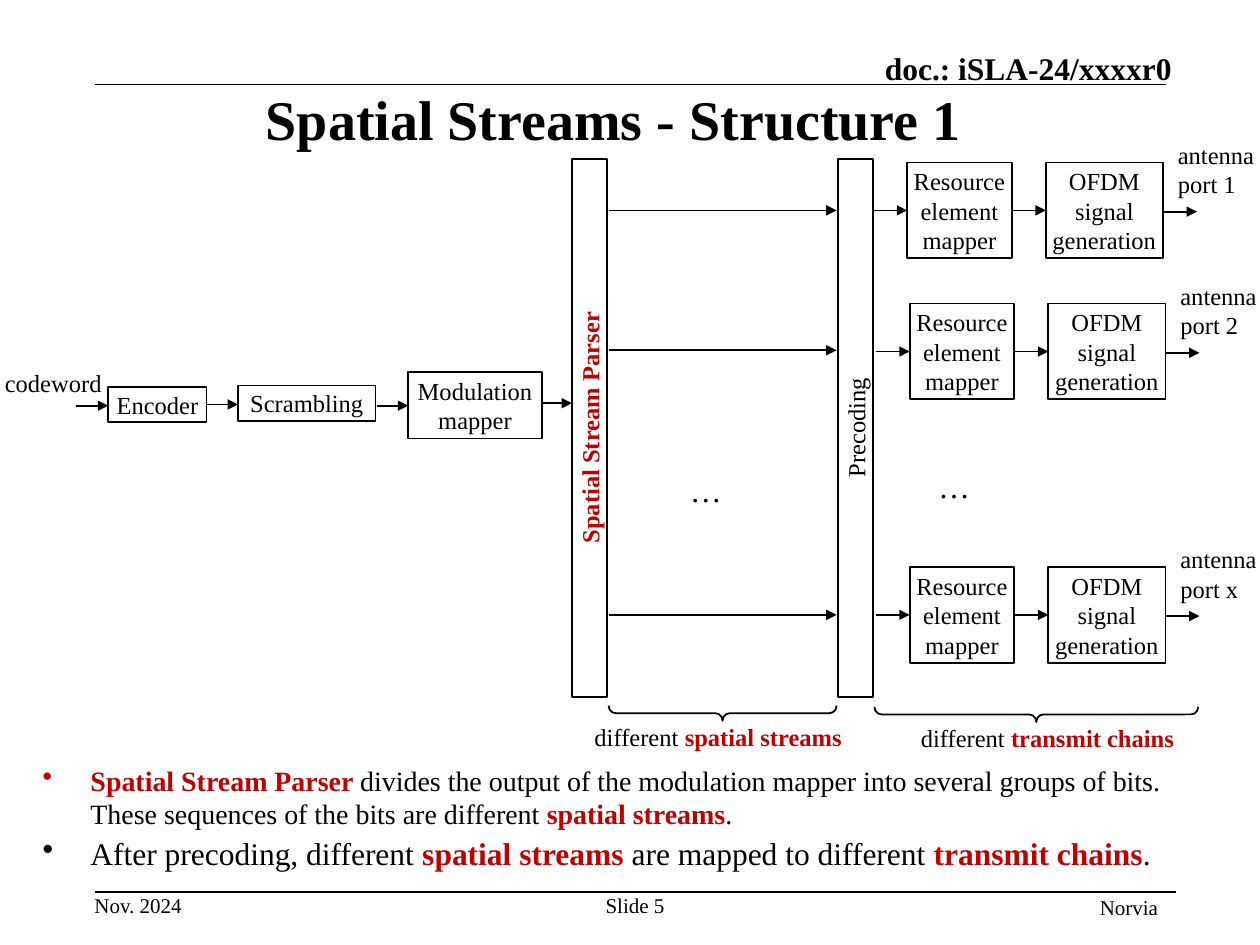
from pptx import Presentation
from pptx.dml.color import RGBColor
from pptx.enum.shapes import MSO_CONNECTOR, MSO_SHAPE
from pptx.enum.text import MSO_ANCHOR, MSO_AUTO_SIZE, PP_ALIGN
from pptx.oxml.ns import qn
from pptx.util import Emu, Pt
from lxml import etree

EMU_PER_PX = 9144  # 100 px to the inch
COLORS = {"ink": "000000", "accent": "C00000"}
FONT = "Times New Roman"


def px(length):
    return Emu(int(length * EMU_PER_PX))


def color(name):
    return RGBColor.from_string(COLORS[name])


class SlideBuilder:
    def __init__(self, slide):
        self.slide = slide

    def fill_text(self, frame, spans, size=14, bold=False, ink="ink",
                  align=PP_ALIGN.LEFT, anchor=MSO_ANCHOR.TOP, insets=(10, 5)):
        """Write one paragraph; spans is a string or (text, accented) pairs."""
        frame.word_wrap = True
        frame.vertical_anchor = anchor
        frame.margin_left = frame.margin_right = px(insets[0])
        frame.margin_top = frame.margin_bottom = px(insets[1])
        para = frame.paragraphs[0]
        para.alignment = align
        para.font.name = FONT
        para.font.size = Pt(size)
        para.font.bold = bold
        para.font.color.rgb = color(ink)
        if isinstance(spans, str):
            spans = [(spans, False)]
        for text, accented in spans:
            span = para.add_run()
            span.text = text
            if accented:
                span.font.bold = True
                span.font.color.rgb = color("accent")
        return para

    def text(self, left, top, width, height, spans, grow=False, **style):
        box = self.slide.shapes.add_textbox(px(left), px(top), px(width), px(height))
        para = self.fill_text(box.text_frame, spans, **style)
        if grow:
            box.text_frame.auto_size = MSO_AUTO_SIZE.SHAPE_TO_FIT_TEXT
        return para

    def bullet(self, left, top, width, height, spans, size):
        para = self.text(left, top, width, height, spans, size=size)
        para.space_before = Pt(6)
        properties = para.font._element.getparent()
        properties.set("marL", str(px(38)))
        properties.set("indent", str(-px(38)))
        mark = etree.Element(qn("a:buChar"), char="•")
        properties.find(qn("a:defRPr")).addprevious(mark)

    def outline(self, preset, left, top, width, height):
        shape = self.slide.shapes.add_shape(preset, px(left), px(top), px(width), px(height))
        shape.shadow.inherit = False
        shape.fill.background()
        shape.line.color.rgb = color("ink")
        shape.line.width = Pt(1)
        return shape

    def block(self, left, top, width, height, label):
        shape = self.outline(MSO_SHAPE.RECTANGLE, left, top, width, height)
        self.fill_text(shape.text_frame, label, align=PP_ALIGN.CENTER,
                       anchor=MSO_ANCHOR.MIDDLE, insets=(5, 0))

    def column(self, left, top, width, height, label, **style):
        shape = self.outline(MSO_SHAPE.RECTANGLE, left, top, width, height)
        self.fill_text(shape.text_frame, label, align=PP_ALIGN.CENTER,
                       anchor=MSO_ANCHOR.MIDDLE, **style)
        shape.text_frame._txBody.bodyPr.set("vert", "vert270")

    def brace_below(self, left, top, length, depth=12):
        shift = (length - depth) / 2
        brace = self.outline(MSO_SHAPE.LEFT_BRACE, left + shift, top - shift, depth, length)
        brace.adjustments[0] = 0.47
        brace.adjustments[1] = 0.5
        brace.rotation = 270

    def line(self, start_x, y, end_x, arrow=False):
        line = self.slide.shapes.add_connector(
            MSO_CONNECTOR.STRAIGHT, px(start_x), px(y), px(end_x), px(y))
        line.line.color.rgb = color("ink")
        line.line.width = Pt(1)
        if arrow:
            etree.SubElement(line.line._get_or_add_ln(), qn("a:tailEnd"), type="triangle")
        etree.SubElement(line._element.spPr, qn("a:effectLst"))

    def arrow(self, start_x, y, end_x):
        self.line(start_x, y, end_x, arrow=True)


def main():
    deck = Presentation()
    deck.slide_width, deck.slide_height = px(1000), px(750)
    page = SlideBuilder(deck.slides.add_slide(deck.slide_layouts[6]))

    # Header, title and footer
    page.line(75, 67, 925)
    page.line(75, 708, 933)
    page.text(547, 39, 383, 30, "doc.: iSLA-24/xxxxr0", size=18, bold=True,
              align=PP_ALIGN.RIGHT, anchor=MSO_ANCHOR.BOTTOM, insets=(0, 0))
    page.text(62, 62, 850, 63, "Spatial Streams - Structure 1", size=32, bold=True,
              align=PP_ALIGN.CENTER, anchor=MSO_ANCHOR.MIDDLE)
    page.text(75, 708, 70, 20, "Nov. 2024", size=12, insets=(0, 0))
    for left, top, label in [(475, 708, "Slide 5"), (867, 710, "Norvia")]:
        page.text(left, top, 58, 40, label, size=12, align=PP_ALIGN.CENTER, insets=(0, 0))

    # Codeword path
    page.text(-6, 287, 113, 34, "codeword", grow=True)
    page.block(86, 307, 78, 28, "Encoder")
    page.block(189, 306, 109, 28, "Scrambling")
    page.block(324, 295, 106, 53, "Modulation mapper")
    for start_x, y, end_x in [(60, 322, 86), (164, 321, 189), (299, 322, 324), (430, 320, 454)]:
        page.arrow(start_x, y, end_x)

    # Parser, precoding and the streams between them
    page.column(454, 126, 28, 427, "Spatial Stream Parser", bold=True, ink="accent")
    page.column(665, 126, 28, 427, "Precoding")
    for y in (167, 278, 488):
        page.arrow(483, y, 664)

    # Transmit chains
    for left, top, port in [(720, 129, "1"), (722, 241, "2"), (722, 450, "x")]:
        middle = top + 38
        page.arrow(left - 27, middle, left)
        page.block(left, top, 83, 76, "Resource element mapper")
        page.arrow(left + 83, middle, left + 110)
        page.block(left + 110, top, 93, 76, "OFDM signal generation")
        page.arrow(left + 203, middle + 1, left + 230)
        page.text(left + 205, top - 23, 84, 57, f"antenna port {port}", grow=True)

    # Ellipses, braces and captions
    for left, top in [(538, 369), (735, 366)]:
        page.text(left, top, 47, 40, "…", size=18, grow=True)
    for left, top, length, caption_left, caption in [
        (483, 560, 181, 462, "spatial streams"),
        (694, 561, 257, 721, "transmit chains"),
    ]:
        page.brace_below(left, top, length)
        page.text(caption_left, top + 8, 246, 34,
                  [("different ", False), (caption, True)], grow=True)

    # Explanations
    page.bullet(24, 601, 960, 53, [
        ("Spatial Stream Parser ", True),
        ("divides the output of the modulation mapper into several groups of bits. "
         "These sequences of the bits are different ", False),
        ("spatial streams", True),
        (".", False),
    ], size=16)
    page.bullet(24, 657, 934, 34, [
        ("After precoding, different ", False),
        ("spatial streams ", True),
        ("are mapped to different ", False),
        ("transmit chains", True),
        (".", False),
    ], size=18)

    deck.save("out.pptx")


if __name__ == "__main__":
    main()
